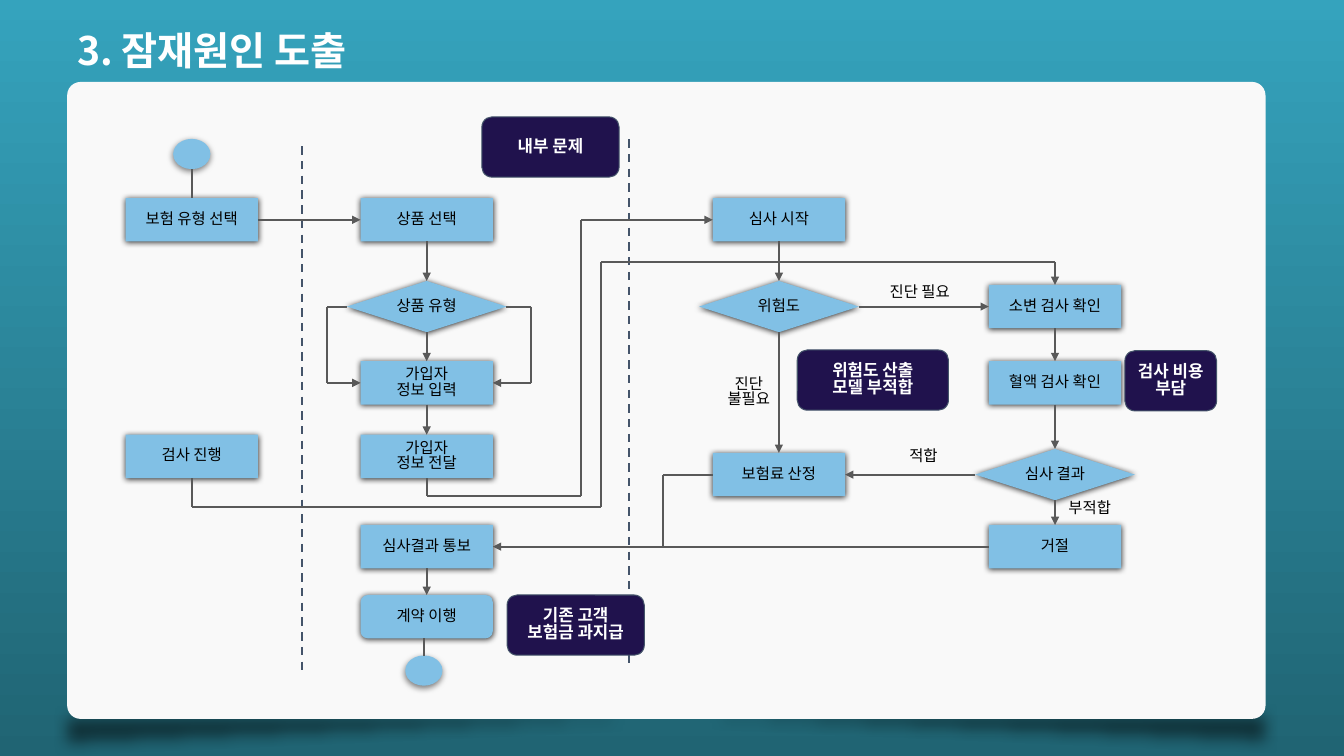
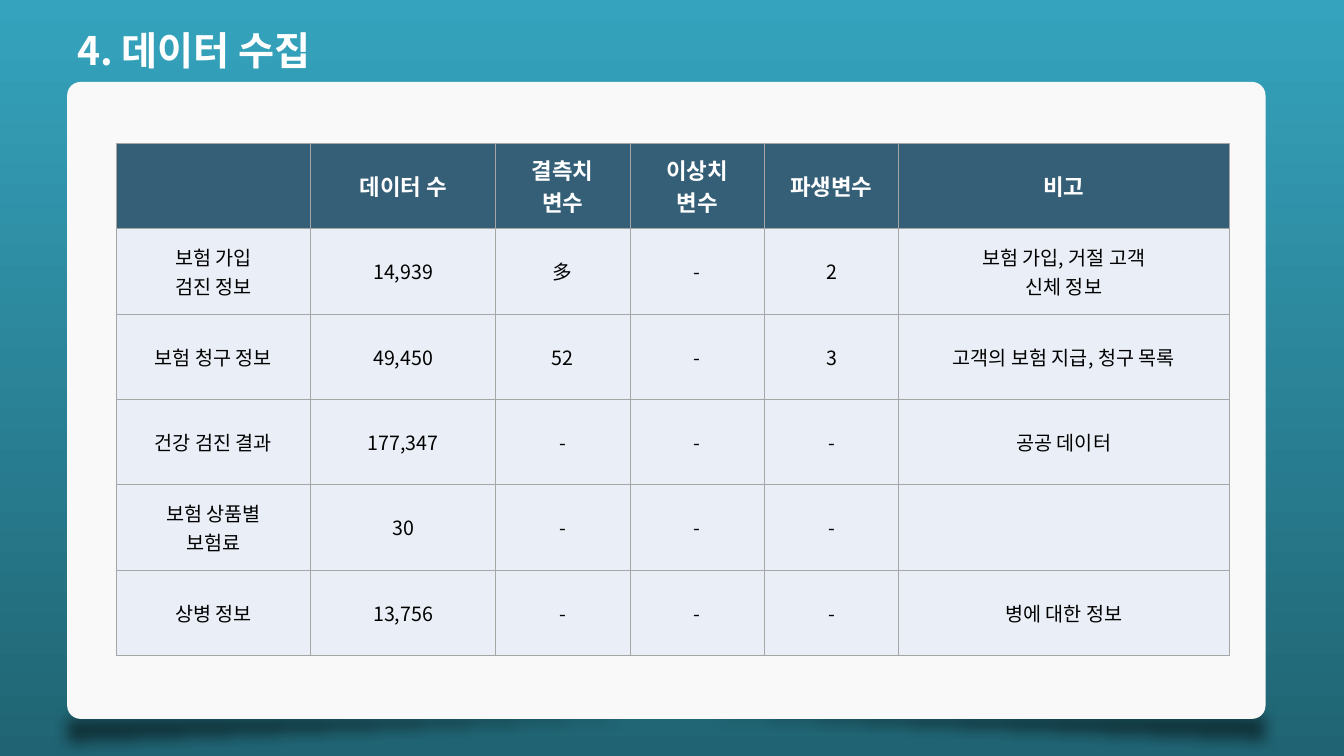
import pptx
import pptx.util
import pptx.oxml
import pptx.oxml.ns
import pptx.dml.color
import pptx.enum.dml
import pptx.enum.shapes
import pptx.enum.text

Pt = pptx.util.Pt
SHAPE = pptx.enum.shapes.MSO_SHAPE
ALIGN = pptx.enum.text.PP_ALIGN
MIDDLE = pptx.enum.text.MSO_ANCHOR.MIDDLE
RGB = pptx.dml.color.RGBColor.from_string
qn = pptx.oxml.ns.qn
DRAWING = pptx.oxml.ns.nsdecls("a")
FONT = "Noto Sans CJK KR"
COLORS = {
    "sky": "35A3BD", "deep": "206473", "panel": "F9F9F9",
    "black": "000000", "white": "FFFFFF", "node": "81C0E5",
    "flow": "595959", "divider": "44546A", "callout": "20124D",
    "header": "355F77", "cell": "EAEFF7", "border": "A6A6A6",
}
DROP_SHADOW = (
    '<a:outerShdw {ns} blurRad="57150" dist="{dist}" dir="5400000" algn="ctr" rotWithShape="0">'
    '<a:srgbClr val="000000"><a:alpha val="{alpha}"/></a:srgbClr></a:outerShdw>'
)
NODE_SHADOW = DROP_SHADOW.format(ns=DRAWING, dist=9525, alpha=80000)
END_SHADOW = DROP_SHADOW.format(ns=DRAWING, dist=19050, alpha=50000)
SOFT_EDGE = f'<a:softEdge {DRAWING} rad="127000"/>'


def write(frame, text, size=11, color="black", bold=False, align=ALIGN.CENTER,
          spacing=None, inset=None, anchor=None):
    if inset is not None:
        frame.word_wrap = True
        frame.margin_left = frame.margin_right = Pt(inset)
        frame.margin_top = frame.margin_bottom = Pt(inset)
    if anchor is not None:
        frame.vertical_anchor = anchor
    for index, line in enumerate(text.split("\n")):
        para = frame.paragraphs[0] if index == 0 else frame.add_paragraph()
        para.alignment = align
        if spacing:
            para.line_spacing = spacing
        span = para.add_run()
        span.text = line
        span.font.size = Pt(size)
        span.font.bold = bold
        span.font.color.rgb = RGB(COLORS[color])
        span.font.name = FONT
        span.font._element.append(
            pptx.oxml.parse_xml(f'<a:ea {DRAWING} typeface="{FONT}"/>'))


def add_box(page, preset, left, top, width, height, fill, line=None, effect=None):
    box = page.shapes.add_shape(preset, Pt(left), Pt(top), Pt(width), Pt(height))
    box.shadow.inherit = False
    box.fill.solid()
    box.fill.fore_color.rgb = RGB(COLORS[fill])
    if line:
        box.line.color.rgb = RGB(COLORS[line])
        box.line.width = Pt(0.75)
    else:
        box.line.fill.background()
    if effect:
        box.element.spPr.find(qn("a:effectLst")).append(pptx.oxml.parse_xml(effect))
    return box


deck = pptx.Presentation()
deck.slide_width, deck.slide_height = Pt(960), Pt(540)

# Shared background
backdrop = deck.slide_master.background.fill
backdrop.gradient()
backdrop.gradient_angle = 270
for stop, name in zip(backdrop.gradient_stops, ("sky", "deep")):
    stop.color.rgb = RGB(COLORS[name])

# Shared title, panel and panel shadow
pages = []
for title in ("3. 잠재원인 도출", "4. 데이터 수집"):
    page = deck.slides.add_slide(deck.slide_layouts[5])
    heading = page.shapes.title
    heading.left, heading.top, heading.width, heading.height = Pt(48), Pt(15), Pt(541), Pt(41)
    write(heading.text_frame, title, size=28, color="white", bold=True,
          align=ALIGN.LEFT, anchor=MIDDLE)
    for left, top, flips in ((47, 502.5, ("flipH", "flipV")), (39, 504, ("flipV",))):
        wedge = add_box(page, SHAPE.RIGHT_TRIANGLE, left, top, 865.5, 36, "black",
                        effect=SOFT_EDGE)
        for flip in flips:
            wedge.element.spPr.find(qn("a:xfrm")).set(flip, "1")
        tint = wedge.element.spPr.find(qn("a:solidFill"))[0]
        tint.append(pptx.oxml.parse_xml(f'<a:alpha {DRAWING} val="51000"/>'))
    panel = add_box(page, SHAPE.ROUNDED_RECTANGLE, 48, 58.5, 856, 455, "panel")
    panel.adjustments[0] = 0.021
    pages.append(page)
flow_page, data_page = pages

# Flow chart: nodes placed by their centres
CUSTOMER, SALES, REVIEW, CHECK = 137, 304.8, 556.4, 753.6
SIZES = {
    SHAPE.RECTANGLE: (94.5, 31), SHAPE.ROUNDED_RECTANGLE: (94.5, 31),
    SHAPE.FLOWCHART_DECISION: (114, 36.6), SHAPE.OVAL: (26.6, 21.6),
}
nodes = {}
for name, preset, x, y, text in (
    ("start", SHAPE.OVAL, CUSTOMER, 110, ""),
    ("choose type", SHAPE.RECTANGLE, CUSTOMER, 157, "보험 유형 선택"),
    ("run test", SHAPE.RECTANGLE, CUSTOMER, 326, "검사 진행"),
    ("choose product", SHAPE.RECTANGLE, SALES, 157, "상품 선택"),
    ("product type", SHAPE.FLOWCHART_DECISION, SALES, 219, "상품 유형"),
    ("enter details", SHAPE.RECTANGLE, SALES, 273.5, "가입자\n정보 입력"),
    ("send details", SHAPE.RECTANGLE, SALES, 326, "가입자\n정보 전달"),
    ("notify", SHAPE.RECTANGLE, SALES, 390.5, "심사결과 통보"),
    ("fulfil", SHAPE.ROUNDED_RECTANGLE, SALES, 440.5, "계약 이행"),
    ("finish", SHAPE.OVAL, SALES - 2, 479, ""),
    ("begin review", SHAPE.RECTANGLE, REVIEW, 157, "심사 시작"),
    ("risk", SHAPE.FLOWCHART_DECISION, REVIEW, 219, "위험도"),
    ("premium", SHAPE.RECTANGLE, REVIEW, 339, "보험료 산정"),
    ("urine test", SHAPE.RECTANGLE, CHECK, 219, "소변 검사 확인"),
    ("blood test", SHAPE.RECTANGLE, CHECK, 273.5, "혈액 검사 확인"),
    ("result", SHAPE.FLOWCHART_DECISION, CHECK, 339, "심사 결과"),
    ("reject", SHAPE.RECTANGLE, CHECK, 390.5, "거절"),
):
    width, height = SIZES[preset]
    effect = END_SHADOW if preset == SHAPE.OVAL else NODE_SHADOW
    box = add_box(flow_page, preset, x - width / 2, y - height / 2, width, height,
                  "node", effect=effect)
    if text:
        write(box.text_frame, text, spacing=0.82, inset=0.75, anchor=MIDDLE)
    nodes[name] = box

# Routes: each stop is a (node, side) pair or a corner point
TOP, LEFT, BOTTOM, RIGHT = range(4)
ARROW, PLAIN, DIVIDER = "arrow", "plain", "divider"
for kind, *stops in (
    (DIVIDER, (216, 104.5), (216, 480)),
    (DIVIDER, (449.3, 99.5), (449.3, 475)),
    (PLAIN, (CUSTOMER, 121), ("choose type", TOP)),
    (ARROW, ("choose type", RIGHT), ("choose product", LEFT)),
    (ARROW, ("choose product", BOTTOM), ("product type", TOP)),
    (ARROW, ("product type", BOTTOM), ("enter details", TOP)),
    (ARROW, ("product type", LEFT), (233.5, 219), (233.5, 273.5), ("enter details", LEFT)),
    (ARROW, ("product type", RIGHT), (379.5, 219), (379.5, 273.5), ("enter details", RIGHT)),
    (ARROW, ("enter details", BOTTOM), ("send details", TOP)),
    (ARROW, ("send details", BOTTOM), (SALES, 354.5), (415.3, 354.5), (415.3, 157),
     ("begin review", LEFT)),
    (ARROW, ("begin review", BOTTOM), ("risk", TOP)),
    (ARROW, ("risk", BOTTOM), ("premium", TOP)),
    (ARROW, ("risk", RIGHT), ("urine test", LEFT)),
    (ARROW, ("run test", BOTTOM), (CUSTOMER, 362), (429.5, 362), (429.5, 187),
     (CHECK, 187), ("urine test", TOP)),
    (ARROW, ("urine test", BOTTOM), ("blood test", TOP)),
    (ARROW, ("blood test", BOTTOM), ("result", TOP)),
    (ARROW, ("result", LEFT), ("premium", RIGHT)),
    (ARROW, ("result", BOTTOM), ("reject", TOP)),
    (ARROW, ("reject", LEFT), ("notify", RIGHT)),
    (PLAIN, ("premium", LEFT), (473.8, 339), (473.8, 390.5)),
    (ARROW, ("notify", BOTTOM), ("fulfil", TOP)),
    (PLAIN, (SALES - 2, 456), (SALES - 2, 468.5)),
):
    points = []
    for place, side in stops:
        if place in nodes:
            box = nodes[place]
            middle, centre = box.left + box.width // 2, box.top + box.height // 2
            points.append(((middle, box.top), (box.left, centre),
                           (middle, box.top + box.height),
                           (box.left + box.width, centre))[side])
        else:
            points.append((Pt(place), Pt(side)))
    for index in range(len(stops) - 1):
        line = flow_page.shapes.add_connector(
            pptx.enum.shapes.MSO_CONNECTOR.STRAIGHT, *points[index], *points[index + 1])
        (first, first_side), (second, second_side) = stops[index:index + 2]
        if first in nodes:
            line.begin_connect(nodes[first], first_side)
        if second in nodes:
            line.end_connect(nodes[second], second_side)
        line.line.width = Pt(1.5)
        line.line.color.rgb = RGB(COLORS["divider" if kind == DIVIDER else "flow"])
        if kind == DIVIDER:
            line.line.dash_style = pptx.enum.dml.MSO_LINE.DASH
        if kind == ARROW and index == len(stops) - 2:
            line.line._get_or_add_ln().append(
                pptx.oxml.parse_xml(f'<a:tailEnd {DRAWING} type="triangle"/>'))
        line.element.spPr.append(pptx.oxml.parse_xml(f"<a:effectLst {DRAWING}/>"))

# Branch labels
for left, top, width, height, align, text in (
    (649.5, 321, 28, 14, ALIGN.LEFT, "적합"),
    (763.2, 358, 43, 14, ALIGN.LEFT, "부적합"),
    (625, 203.8, 64, 14, ALIGN.CENTER, "진단 필요"),
    (513.4, 269.3, 43, 28, ALIGN.CENTER, "진단\n불필요"),
):
    label = flow_page.shapes.add_textbox(Pt(left), Pt(top), Pt(width), Pt(height))
    write(label.text_frame, text, align=align, spacing=0.82, inset=0)

# Problem callouts
for left, top, width, text in (
    (344.2, 83.5, 98, "내부 문제"),
    (569.5, 250, 108, "위험도 산출\n모델 부적합"),
    (803.5, 250.5, 65.5, "검사 비용\n부담"),
    (362.2, 425, 98, "기존 고객\n보험금 과지급"),
):
    callout = add_box(flow_page, SHAPE.ROUNDED_RECTANGLE, left, top, width, 43,
                      "callout", line="divider")
    write(callout.text_frame, text, size=12, color="white", bold=True,
          spacing=0.84, inset=0.75, anchor=MIDDLE)

# Data table
rows = (
    ("", "데이터 수", "결측치\n변수", "이상치\n변수", "파생변수", "비고"),
    ("보험 가입\n검진 정보", "14,939", "多", "-", "2", "보험 가입, 거절 고객\n신체 정보"),
    ("보험 청구 정보", "49,450", "52", "-", "3", "고객의 보험 지급, 청구 목록"),
    ("건강 검진 결과", "177,347", "-", "-", "-", "공공 데이터"),
    ("보험 상품별\n보험료", "30", "-", "-", "-", ""),
    ("상병 정보", "13,756", "-", "-", "-", "병에 대한 정보"),
)
widths = (139, 132, 96, 96, 96, 236)
row_height = 61
table = data_page.shapes.add_table(len(rows), len(widths), Pt(83), Pt(102.3),
                                   Pt(sum(widths)), Pt(row_height * len(rows))).table
for column, width in zip(table.columns, widths):
    column.width = Pt(width)
for row_index, texts in enumerate(rows):
    table.rows[row_index].height = Pt(row_height)
    is_header = row_index == 0
    for column_index, text in enumerate(texts):
        cell = table.cell(row_index, column_index)
        cell.vertical_anchor = MIDDLE
        for edge in ("lnL", "lnR", "lnT", "lnB"):
            cell._tc.get_or_add_tcPr().append(pptx.oxml.parse_xml(
                f'<a:{edge} {DRAWING} w="6350"><a:solidFill>'
                f'<a:srgbClr val="{COLORS["border"]}"/></a:solidFill></a:{edge}>'))
        cell.fill.solid()
        cell.fill.fore_color.rgb = RGB(COLORS["header" if is_header else "cell"])
        if text:
            write(cell.text_frame, text, size=16 if is_header else 14,
                  color="white" if is_header else "black", bold=is_header)

deck.save("out.pptx")
